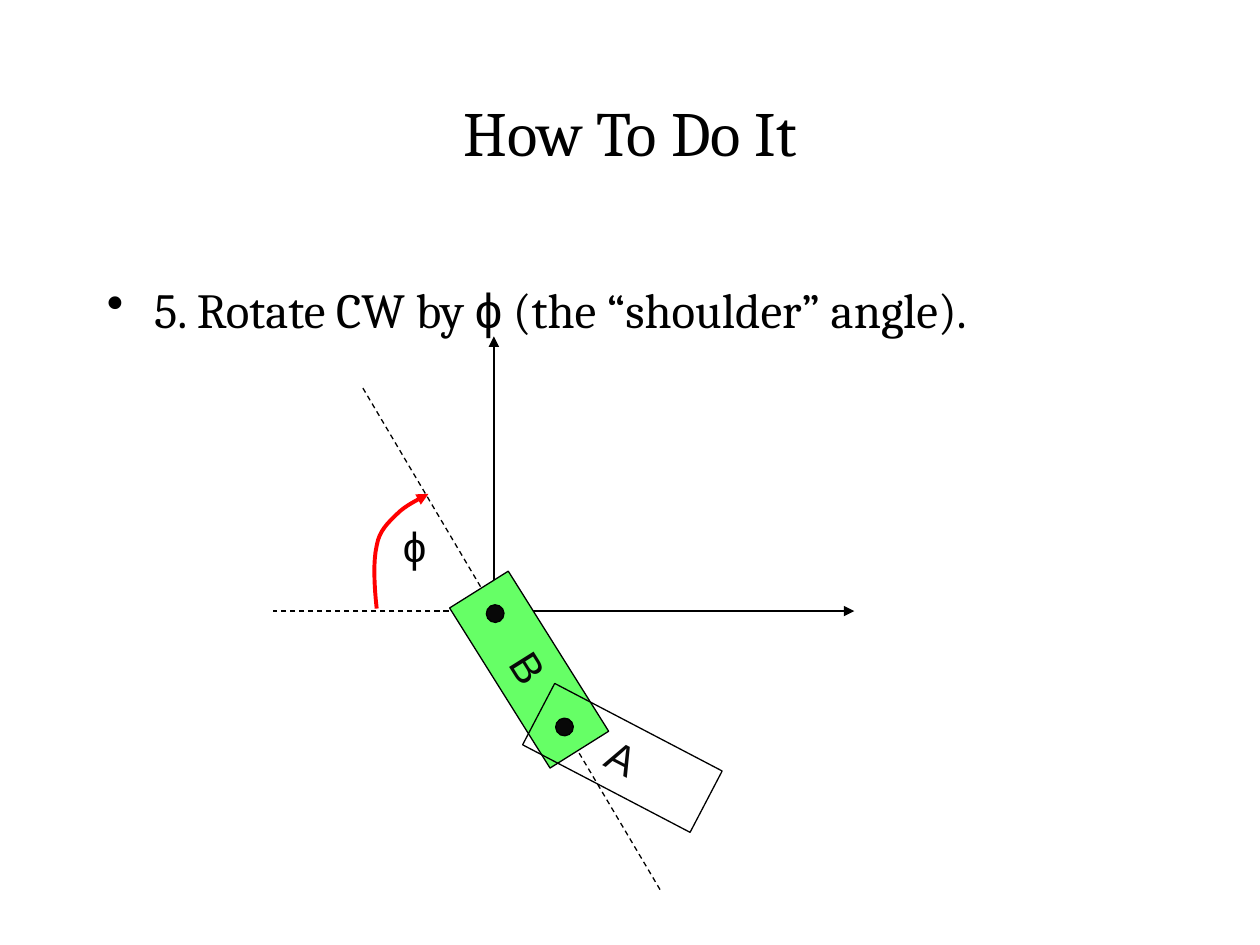
from lxml import etree
from pptx import Presentation
from pptx import util as u
from pptx.dml.color import RGBColor
from pptx.enum import dml, shapes, text
from pptx.oxml.ns import qn

Pt = u.Pt
COLORS = {"black": "000000", "ink": "080808", "green": "66FF66", "red": "FF0000"}
SERIF, SANS = "Cambria", "Arial"
ORIGIN = (282.24, 349.2)
ARMS = [
    {"label": "B", "angle": 57.9, "fill": "green", "rect": (248.4, 362.88),
     "joint": (277.92, 345.6), "text": (287.28, 363.6)},
    {"label": "A", "angle": 27.6, "fill": None, "rect": (301.68, 413.28),
     "joint": (317.52, 410.4), "text": (340.56, 414.72)},
]
ARC = [
    [(215.28, 347.76), (213.84, 334.8), (213.12, 321.12), (215.28, 311.76)],
    [(215.28, 311.76), (216.72, 303.12), (221.76, 298.8), (226.8, 293.76)],
    [(226.8, 293.76), (231.84, 288.72), (238.32, 285.84), (244.8, 282.24)],
]


def rgb(name):
    return RGBColor.from_string(COLORS[name])


def set_attrs(obj, **values):
    for name, value in values.items():
        setattr(obj, name, value)


def set_line(line, color="black", width=0.75, dashed=False, arrow=False):
    line.color.rgb = rgb(color)
    line.width = Pt(width)
    if dashed:
        line.dash_style = dml.MSO_LINE.DASH
    if arrow:
        ln = line._get_or_add_ln()
        etree.SubElement(ln, qn("a:tailEnd"), type="triangle")


def add_line(s, start, end, **fmt):
    c = s.shapes.add_connector(shapes.MSO_CONNECTOR.STRAIGHT,
                               *map(Pt, start + end))
    set_line(c.line, **fmt)
    etree.SubElement(c._element.spPr, qn("a:effectLst"))


def add_shape(s, kind, pos, size, angle, fill):
    sp = s.shapes.add_shape(kind, *map(Pt, pos + size))
    sp.shadow.inherit = False
    sp.rotation = angle
    if fill:
        sp.fill.solid()
        sp.fill.fore_color.rgb = rgb(fill)
    else:
        sp.fill.background()
    set_line(sp.line)


def add_text(s, pos, size, runs, pt, color="black", angle=0, wrap=True,
             anchor=text.MSO_ANCHOR.MIDDLE, align=text.PP_ALIGN.LEFT,
             bullet=False):
    sp = s.shapes.add_textbox(*map(Pt, pos + size))
    sp.rotation = angle
    tf = sp.text_frame
    set_attrs(tf, word_wrap=wrap, vertical_anchor=anchor)
    p = tf.paragraphs[0]
    p.alignment = align
    if bullet:
        pPr = p._p.get_or_add_pPr()
        pPr.set("marL", str(Pt(27)))
        pPr.set("indent", str(-Pt(27)))
        etree.SubElement(pPr, qn("a:buChar"), char="•")
    for words, font in runs:
        r = p.add_run()
        r.text = words
        set_attrs(r.font, name=font, size=Pt(pt))
        r.font.color.rgb = rgb(color)


def add_arm(s, arm):
    angle = arm["angle"]
    add_shape(s, shapes.MSO_SHAPE.RECTANGLE, arm["rect"], (108, 39.6),
              angle, arm["fill"])
    add_shape(s, shapes.MSO_SHAPE.OVAL, arm["joint"], (10.08, 10.08),
              angle, "ink")
    add_text(s, arm["text"], (30.24, 36), [(arm["label"], SANS)], 24,
             color="ink", angle=angle, wrap=False)


def bezier(points, t):
    weights = ((1 - t) ** 3, 3 * t * (1 - t) ** 2, 3 * t * t * (1 - t), t ** 3)
    return tuple(Pt(sum(w * q[i] for w, q in zip(weights, points)))
                 for i in (0, 1))


def add_curve(s, segments, steps=8, **fmt):
    fb = s.shapes.build_freeform(*map(Pt, segments[0][0]))
    fb.add_line_segments([bezier(seg, k / steps) for seg in segments
                          for k in range(1, steps + 1)], close=False)
    sp = fb.convert_to_shape()
    sp.shadow.inherit = False
    sp.fill.background()
    set_line(sp.line, **fmt)


def main():
    prs = Presentation()
    set_attrs(prs, slide_width=Pt(720), slide_height=Pt(540))
    s = prs.slides.add_slide(prs.slide_layouts[6])
    add_line(s, (318.24, 349.2), (156.24, 349.2), dashed=True)
    add_line(s, (207.36, 221.76), (378, 509.76), dashed=True)
    add_text(s, (54, 30.24), (612, 90), [("How To Do It", SERIF)], 36,
             align=text.PP_ALIGN.CENTER)
    add_text(s, (54, 156.24), (612, 324),
             [("5. Rotate CW by ", SERIF), ("ϕ", SANS),
              (" (the “shoulder” angle).", SERIF)], 28,
             anchor=text.MSO_ANCHOR.TOP, bullet=True)
    for end in ((488.16, 349.2), (282.24, 192.24)):
        add_line(s, ORIGIN, end, arrow=True)
    for arm in ARMS:
        add_arm(s, arm)
    add_text(s, (223.2, 293.76), (28.8, 36), [("ϕ", SANS)], 24, wrap=False)
    add_curve(s, ARC, color="red", width=2.25, arrow=True)
    prs.save("out.pptx")


if __name__ == "__main__":
    main()
